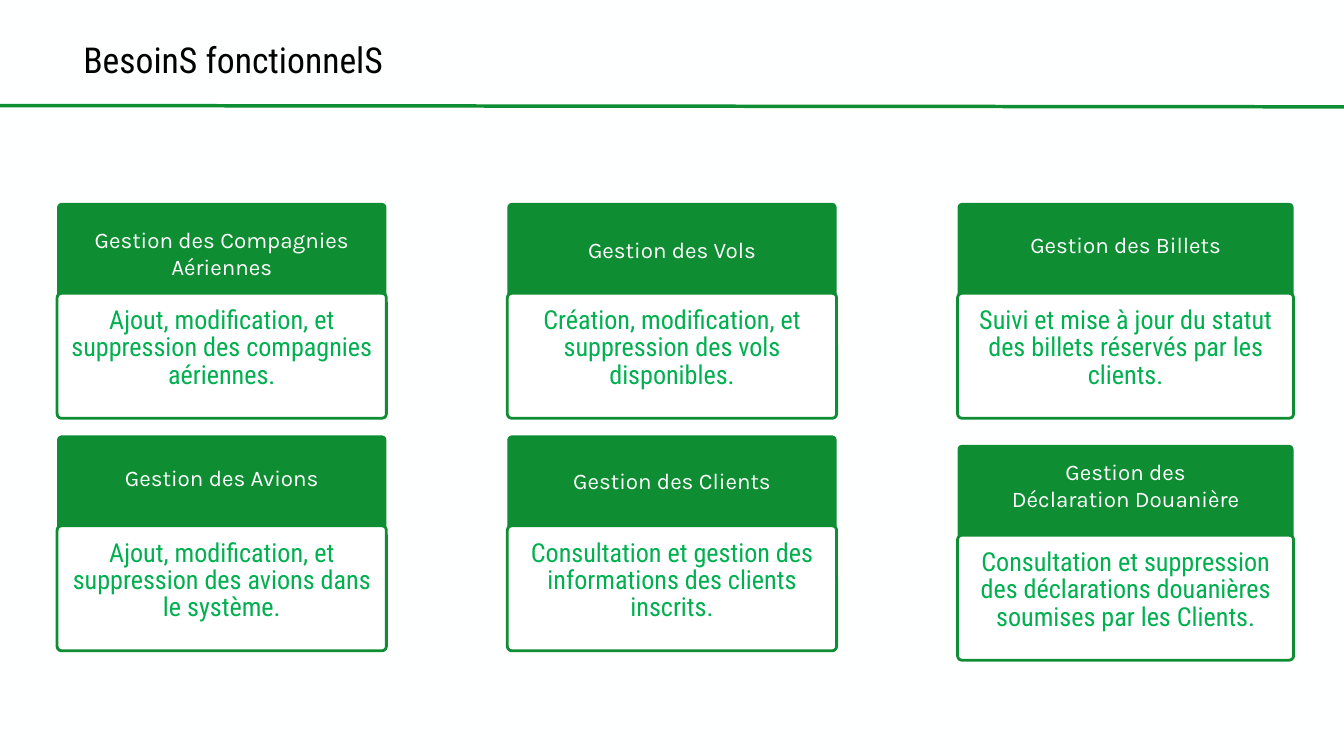
from lxml import etree
from pptx import Presentation
from pptx.dml.color import RGBColor
from pptx.enum.shapes import MSO_CONNECTOR, MSO_SHAPE
from pptx.enum.text import MSO_ANCHOR as ANCHOR, PP_ALIGN as ALIGN
from pptx.oxml.ns import qn
from pptx.util import Inches, Pt

COLORS = {
    "background": "FEFFFF",
    "green": "0E8D32",
    "body": "00B050",
    "white": "FFFFFF",
    "black": "000000",
}
TITLE_FONT, HEADING_FONT = "Roboto Condensed", "Karla"

COLUMNS = [(0.85, 4.9), (7.55, 4.9), (14.25, 5)]  # left, width
PANEL_H, TEXT_H = 1.86, 2.08
BODY_DROP = 1.345  # from the top of a header to the top of its body
BODY_TEXT_RISE = 0.22

# column, top, rise of the heading box above the header, heading, body
CARDS = [
    (0, 3.02, 0.30, "Gestion des Compagnies Aériennes",
     "Ajout, modification, et suppression des compagnies aériennes."),
    (1, 3.02, 0.35, "Gestion des Vols",
     "Création, modification, et suppression des vols disponibles."),
    (2, 3.02, 0.42, "Gestion des Billets",
     "Suivi et mise à jour du statut des billets réservés par les clients."),
    (0, 6.48, 0.42, "Gestion des Avions",
     "Ajout, modification, et suppression des avions dans le système."),
    (1, 6.48, 0.37, "Gestion des Clients",
     "Consultation et gestion des informations des clients inscrits."),
    (2, 6.62, 0.45, "Gestion des\nDéclaration Douanière",
     "Consultation et suppression des déclarations douanières "
     "soumises par les Clients."),
]


def rgb(name):
    return RGBColor.from_string(COLORS[name])


class SlideBuilder:
    def __init__(self, slide):
        self.s = slide
        fill = slide.background.fill
        fill.solid()
        fill.fore_color.rgb = rgb("background")

    def rule(self, x1, y1, x2, y2, width=3.75):
        line = self.s.shapes.add_connector(
            MSO_CONNECTOR.STRAIGHT, *map(Inches, (x1, y1, x2, y2)))
        line.line.color.rgb = rgb("green")
        line.line.width = Pt(width)
        etree.SubElement(line._element.spPr, qn("a:effectLst"))

    def text(self, text, x, y, w, h, *, size, color, font=TITLE_FONT,
             spacing=29.3, align=ALIGN.CENTER, anchor=ANCHOR.MIDDLE, inset=0.11):
        """Add a text box with one paragraph per line of text."""
        tf = self.s.shapes.add_textbox(*map(Inches, (x, y, w, h))).text_frame
        tf.word_wrap = True
        tf.vertical_anchor = anchor
        tf.margin_left = tf.margin_right = Inches(inset)
        tf.margin_top = tf.margin_bottom = Inches(inset)
        for i, line in enumerate(text.split("\n")):
            p = tf.add_paragraph() if i else tf.paragraphs[0]
            p.alignment = align
            p.line_spacing = Pt(spacing)
            r = p.add_run()
            r.text = line
            r.font.size = Pt(size)
            r.font.name = font
            r.font.color.rgb = rgb(color)

    def panel(self, x, y, w, fill, outlined=False):
        sp = self.s.shapes.add_shape(
            MSO_SHAPE.ROUNDED_RECTANGLE, *map(Inches, (x, y, w, PANEL_H)))
        sp.adjustments[0] = 0.035
        sp.shadow.inherit = False
        sp.fill.solid()
        sp.fill.fore_color.rgb = rgb(fill)
        if outlined:
            sp.line.color.rgb = rgb("green")
            sp.line.width = Pt(3)
        else:
            sp.line.fill.background()

    def card(self, column, top, rise, heading, body):
        """Add a green header, partly covered by an outlined body."""
        x, w = COLUMNS[column]
        body_top = top + BODY_DROP
        self.panel(x, top, w, "green")
        self.text(heading, x, top - rise, w, TEXT_H,
                  size=24, color="white", font=HEADING_FONT)
        self.panel(x, body_top, w, "white", outlined=True)
        self.text(body, x, body_top - BODY_TEXT_RISE, w, TEXT_H,
                  size=28, color="body")


def main():
    prs = Presentation()
    prs.slide_width, prs.slide_height = Inches(20), Inches(11.25)
    builder = SlideBuilder(prs.slides.add_slide(prs.slide_layouts[6]))
    builder.rule(-0.85, 1.57, 20, 1.59)
    builder.text("BesoinS fonctionnelS", 1.24, 0.46, 6.67, 0.73,
                 size=38.2, color="black", spacing=53.5,
                 align=ALIGN.LEFT, anchor=ANCHOR.TOP, inset=0)
    for card in CARDS:
        builder.card(*card)
    prs.save("out.pptx")


if __name__ == "__main__":
    main()
